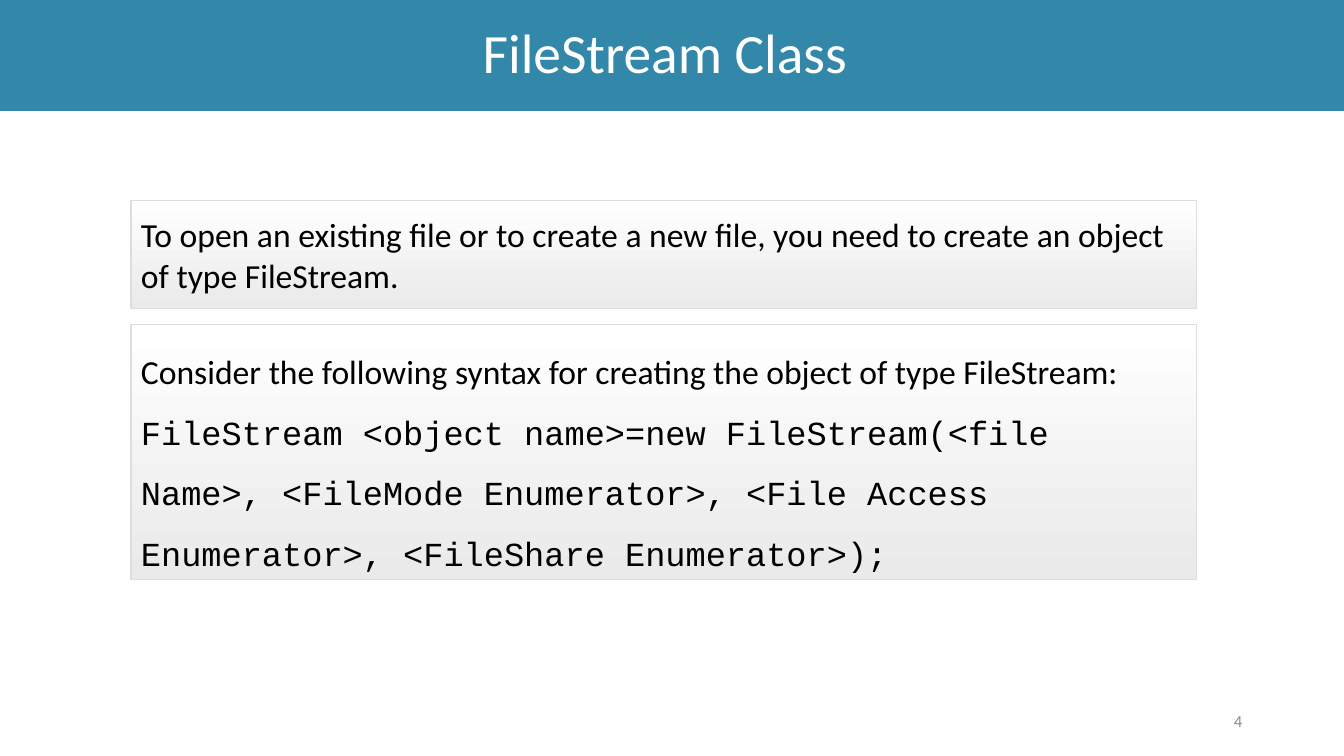
from pptx import Presentation
from pptx.dml.color import RGBColor
from pptx.enum.shapes import MSO_SHAPE
from pptx.enum.text import MSO_ANCHOR, PP_ALIGN
from pptx.util import Inches, Pt

TEAL = RGBColor(0x33, 0x88, 0xA9)
WHITE = RGBColor(0xFF, 0xFF, 0xFF)
BLACK = RGBColor(0, 0, 0)
GRAY = RGBColor(0x8C, 0x8C, 0x8C)
PALE = RGBColor(0xEA, 0xEA, 0xEA)
BORDER = RGBColor(0xDD, 0xDD, 0xDD)

BODY = {"name": "Calibri", "size": Pt(24)}
CODE = {"name": "Courier New", "size": Pt(24)}
TITLE = {"name": "Calibri", "size": Pt(39.6)}
NUMBER = {"name": "Calibri", "size": Pt(12)}


def write(sp, paragraphs, color, align=PP_ALIGN.LEFT, spacing=1.0):
    """Fill a shape with (text, font format) paragraphs."""
    tf = sp.text_frame
    tf.word_wrap = True
    tf.vertical_anchor = MSO_ANCHOR.MIDDLE
    for i, (text, font) in enumerate(paragraphs):
        p = tf.add_paragraph() if i else tf.paragraphs[0]
        p.alignment, p.line_spacing = align, spacing
        r = p.add_run()
        r.text = text
        r.font.color.rgb = color
        for key, value in font.items():
            setattr(r.font, key, value)


def add_rect(slide, box):
    """Add a shadowless rectangle at a box given in inches."""
    sp = slide.shapes.add_shape(MSO_SHAPE.RECTANGLE, *map(Inches, box))
    sp.shadow.inherit = False
    return sp


def title_bar(slide, box, text):
    """Draw the coloured title band."""
    sp = add_rect(slide, box)
    sp.fill.solid()
    sp.fill.fore_color.rgb = TEAL
    sp.line.fill.background()
    sp.text_frame.margin_right = Inches(0.24)
    write(sp, [(text, TITLE)], WHITE, PP_ALIGN.CENTER, 0.9)


def panel(slide, box, paragraphs, spacing=1.0):
    """Draw a bordered panel shaded from white down to pale gray."""
    sp = add_rect(slide, box)
    sp.fill.gradient()
    sp.fill.gradient_angle = 270
    for stop, color, position in zip(sp.fill.gradient_stops, (WHITE, PALE), (0, 1)):
        stop.color.rgb, stop.position = color, position
    sp.line.color.rgb, sp.line.width = BORDER, Pt(1)
    write(sp, paragraphs, BLACK, spacing=spacing)


def page_number(slide, box, text):
    """Place the slide number at the right of its box."""
    sp = slide.shapes.add_textbox(*map(Inches, box))
    write(sp, [(text, NUMBER)], GRAY, PP_ALIGN.RIGHT)


def main():
    """Build and save the slide."""
    prs = Presentation()
    prs.slide_width, prs.slide_height = Inches(13.33), Inches(7.5)
    slide = prs.slides.add_slide(prs.slide_layouts[6])
    title_bar(slide, (0, 0, 13.33, 1.1), "FileStream Class")
    page_number(slide, (9.42, 6.95, 3, 0.4), "4")
    panel(slide, (1.3, 1.99, 10.57, 1.07), [
        ("To open an existing file or to create a new file, you need to "
         "create an object of type FileStream.", BODY)])
    panel(slide, (1.3, 3.22, 10.57, 2.53), [
        ("Consider the following syntax for creating the object of type "
         "FileStream:", BODY),
        ("FileStream <object name>=new FileStream(<file Name>, "
         "<FileMode Enumerator>, <File Access Enumerator>, "
         "<FileShare Enumerator>);", CODE)], spacing=1.5)
    prs.save("out.pptx")


if __name__ == "__main__":
    main()
